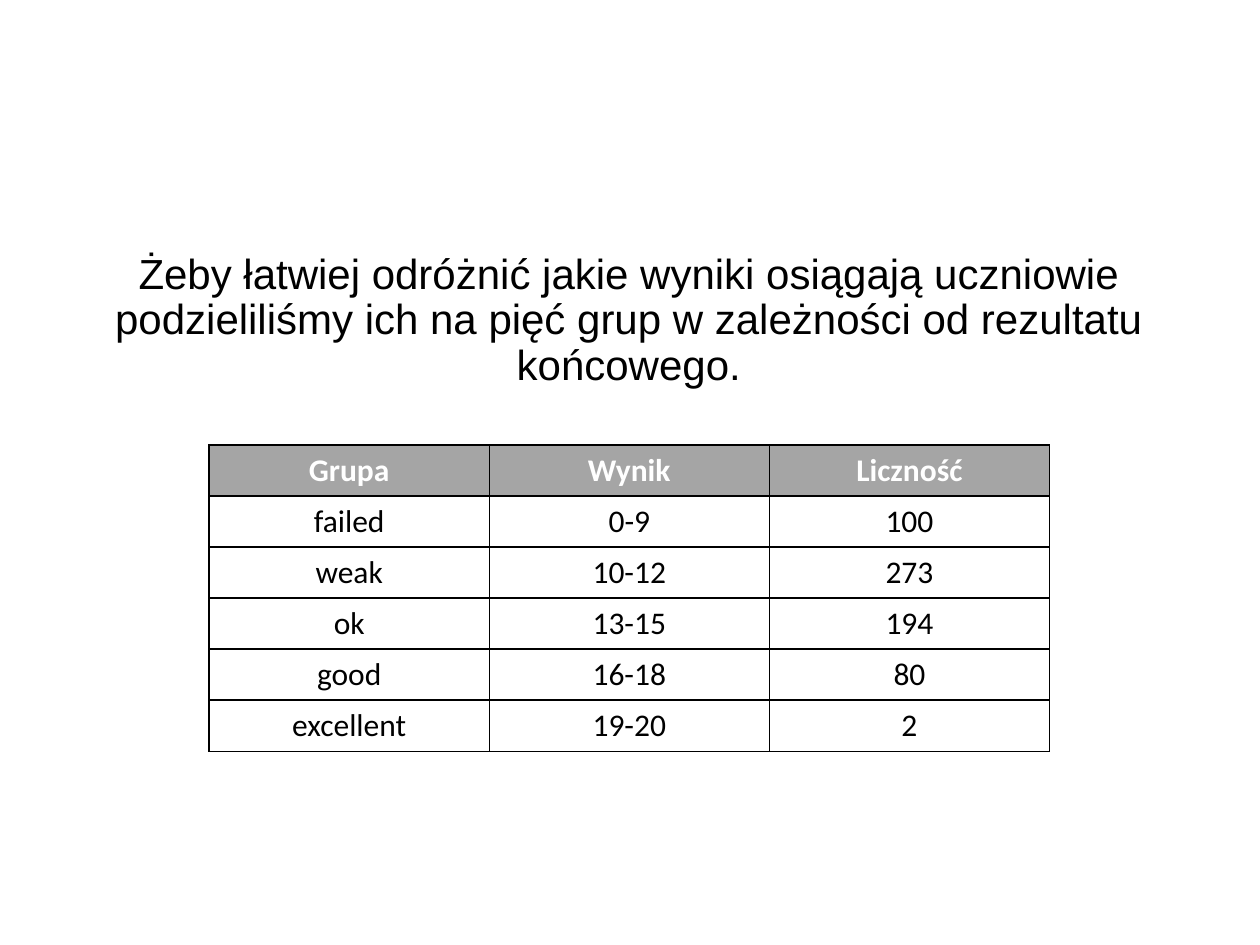
from dataclasses import dataclass

from lxml import etree
from pptx import Presentation
from pptx.dml.color import RGBColor
from pptx.enum.text import MSO_ANCHOR, MSO_AUTO_SIZE, PP_ALIGN
from pptx.oxml.ns import qn
from pptx.slide import Slide
from pptx.table import _Cell
from pptx.text.text import TextFrame
from pptx.util import Inches, Pt

BLACK = RGBColor(0x00, 0x00, 0x00)
WHITE = RGBColor(0xFF, 0xFF, 0xFF)
GREY = RGBColor(0xA5, 0xA5, 0xA5)
CENTER = PP_ALIGN.CENTER
BOTTOM = MSO_ANCHOR.BOTTOM
MIDDLE = MSO_ANCHOR.MIDDLE
NO_AUTOFIT = MSO_AUTO_SIZE.NONE
TITLE_ONLY = 5

INTRO = ("Żeby łatwiej odróżnić jakie wyniki osiągają uczniowie podzieliliśmy "
         "ich na pięć grup w zależności od rezultatu końcowego.")


@dataclass(frozen=True)
class ScoreGroup:
    """One row of the table of result groups."""
    name: str
    score: str
    count: str


HEADER = ScoreGroup("Grupa", "Wynik", "Liczność")
GROUPS = [
    ScoreGroup("failed", "0-9", "100"),
    ScoreGroup("weak", "10-12", "273"),
    ScoreGroup("ok", "13-15", "194"),
    ScoreGroup("good", "16-18", "80"),
    ScoreGroup("excellent", "19-20", "2"),
]


def write_text(frame: TextFrame, text: str, *, font: str, size: float,
               color: RGBColor = BLACK, bold: bool = False,
               line_spacing: float = 1.0) -> None:
    """Write one centred paragraph in the given format."""
    paragraph = frame.paragraphs[0]
    paragraph.alignment = CENTER
    paragraph.line_spacing = line_spacing
    run = paragraph.add_run()
    run.text = text
    run.font.name = font
    run.font.size = Pt(size)
    run.font.bold = bold
    run.font.color.rgb = color


def add_borders(cell: _Cell, color: RGBColor, width: float) -> None:
    """Draw a solid line on all four sides of a cell."""
    properties = cell._tc.get_or_add_tcPr()
    for position, side in enumerate(("a:lnL", "a:lnR", "a:lnT", "a:lnB")):
        line = etree.Element(qn(side), w=str(Pt(width)))
        fill = etree.SubElement(line, qn("a:solidFill"))
        etree.SubElement(fill, qn("a:srgbClr"), val=str(color))
        properties.insert(position, line)


def add_title(slide: Slide) -> None:
    """Place the introductory sentence above the table."""
    title = slide.shapes.title
    title.left, title.top = Inches(0.68), Inches(0.77)
    title.width, title.height = Inches(8.62), Inches(3.12)
    frame = title.text_frame
    frame.word_wrap = True
    frame.auto_size = NO_AUTOFIT
    frame.vertical_anchor = BOTTOM
    frame.margin_bottom = Inches(0.8)
    write_text(frame, INTRO, font="Arial", size=24, line_spacing=0.9)


def add_group_table(slide: Slide) -> None:
    """Add the table of groups with its grey header row."""
    rows = [HEADER, *GROUPS]
    table = slide.shapes.add_table(len(rows), 3, Inches(1.66), Inches(3.53),
                                   Inches(6.67), Inches(2.43)).table
    table.horz_banding = False
    for row_index, group in enumerate(rows):
        is_header = group is HEADER
        for column, text in enumerate((group.name, group.score, group.count)):
            cell = table.cell(row_index, column)
            cell.vertical_anchor = MIDDLE
            cell.fill.solid()
            cell.fill.fore_color.rgb = GREY if is_header else WHITE
            add_borders(cell, BLACK, 1)
            write_text(cell.text_frame, text, font="Calibri", size=18,
                       color=WHITE if is_header else BLACK, bold=is_header)


def main() -> None:
    """Build and save the slide."""
    presentation = Presentation()
    presentation.slide_width = Inches(10)
    presentation.slide_height = Inches(7.5)
    slide = presentation.slides.add_slide(presentation.slide_layouts[TITLE_ONLY])
    add_title(slide)
    add_group_table(slide)
    presentation.save("out.pptx")


main()
